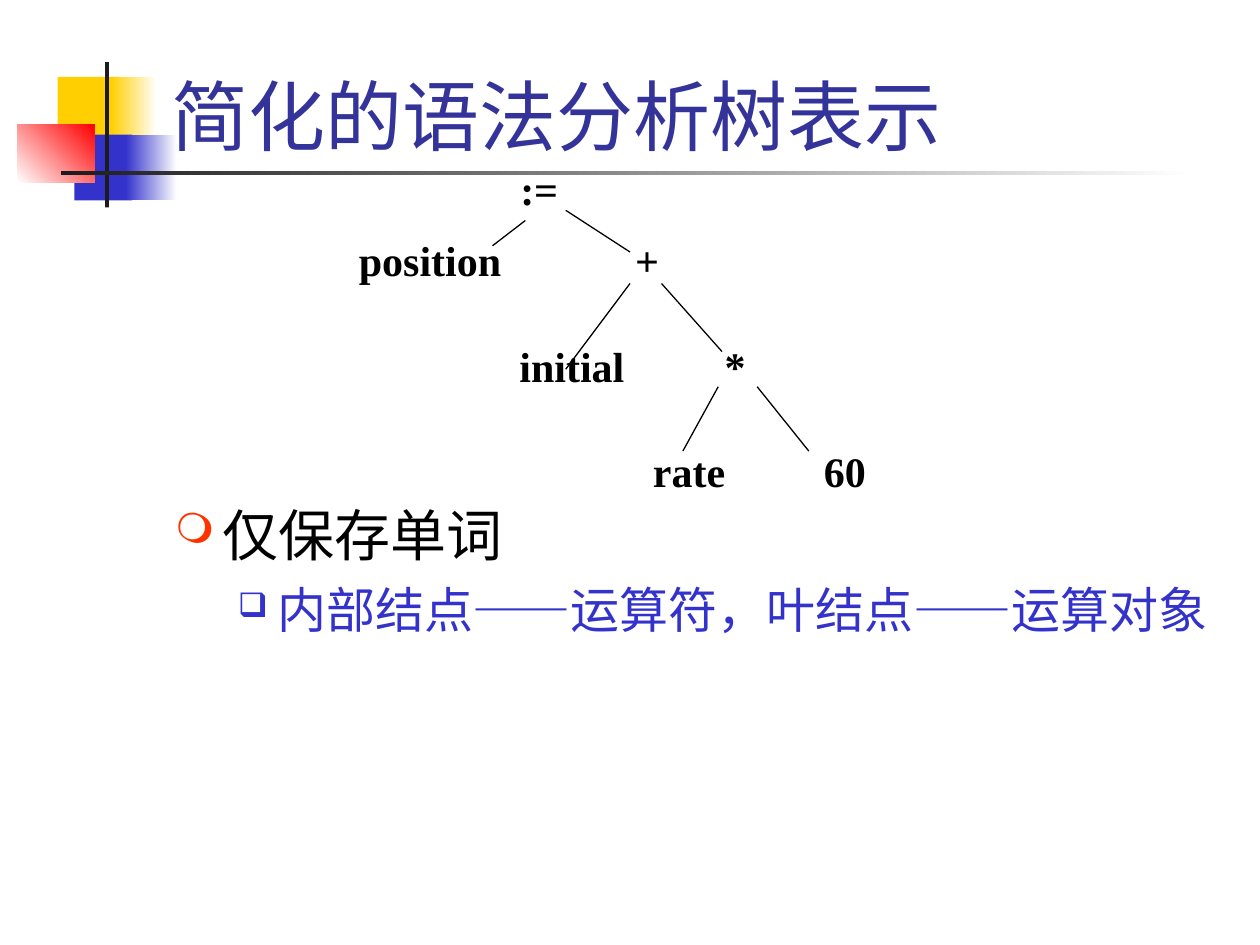
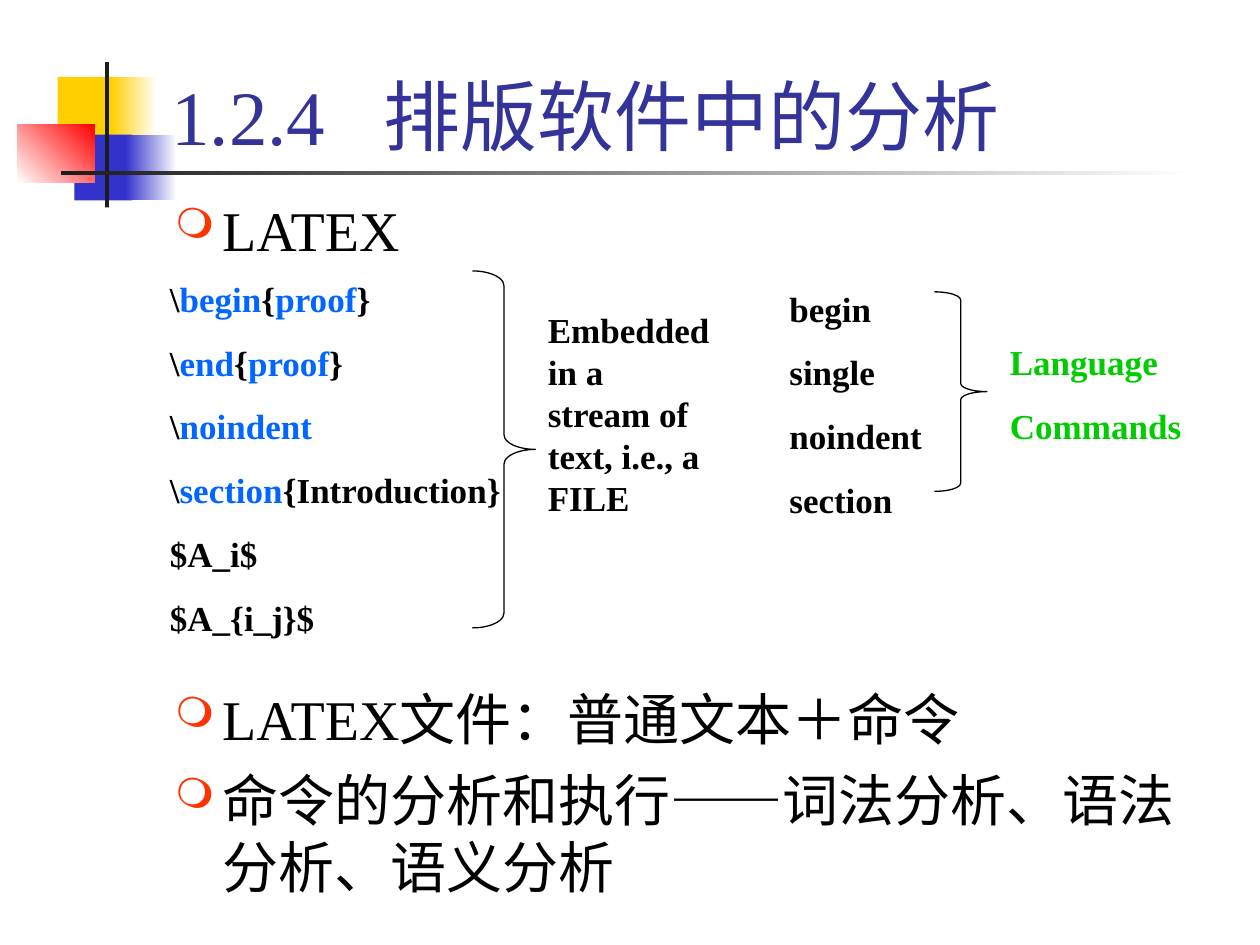
import pptx
import pptx.util
import pptx.dml.color
import pptx.enum.shapes
import pptx.enum.text
import pptx.oxml
import pptx.oxml.ns
from lxml import etree

Pt = pptx.util.Pt
Shapes = pptx.enum.shapes.MSO_SHAPE
FONT = "Times New Roman"
BLACK, WHITE, INK = "000000", "FFFFFF", "1C1C1C"
YELLOW, BLUE, RED = "FFCF01", "3333CC", "FF0000"
TITLE_COLOR, KEYWORD, GREEN = "333399", "0066FF", "00CC00"

# Box, colours from start to end, angle of the gradient
EMBLEM = [
    ((33, 44, 35, 37.5), (YELLOW,), 0),
    ((63.5, 44, 26, 37.5), (YELLOW, WHITE), 0),
    ((42.5, 77, 33, 37.5), (BLUE,), 0),
    ((72, 77, 29, 37.5), (BLUE, WHITE), 0),
    ((10, 71, 44, 33.5), (WHITE, RED), 45),
    ((60, 35.5, 2.3, 83), (INK,), 0),
    ((34.8, 97.8, 648, 2.3), (INK, WHITE), 0),
]
TITLE_BOX = (90.7, 5.8, 613.4, 90)
TITLE_TAB = 121

# Left indent, bullet, bullet colour, bullet size in percent, text size, text colour
LEVELS = [
    {"indent": 27, "hang": 27, "bullet": "❍", "bullet_color": "FF3300",
     "percent": 75, "size": 32, "color": BLACK, "before": 8},
    {"indent": 58.5, "hang": 22.5, "bullet": "❑", "bullet_color": BLUE,
     "percent": 69, "size": 28, "color": BLUE, "before": 7},
]

TREE_TITLE = "简化的语法分析树表示"
TREE_ROWS = (90, 130.3, 190.8, 251.3)
# Text, row, left, width, centred
TREE_NODES = [
    ("position", 1, 198, 141, False),
    ("initial", 2, 256.3, 141, True),
    ("rate", 3, 323.3, 141, True),
    (":=", 0, 290.2, 75.6, False),
    ("+", 1, 331.9, 75.6, True),
    ("*", 2, 382.3, 75.6, True),
    ("60", 3, 407.5, 150.5, True),
]
TREE_EDGES = [
    (300.2, 126, 281.5, 140.4),
    (323.3, 120.2, 360, 144),
    (360, 162, 323.3, 211),
    (378, 162, 412.6, 200.9),
    (410.4, 221, 390.2, 257.8),
    (432.7, 221, 462.2, 257.8),
]
TREE_BOX = (92.9, 282.2, 612, 162)
# Level, text, space before (None takes that of the level)
TREE_POINTS = [
    (0, "仅保存单词", None),
    (1, "内部结点——运算符，叶结点——运算对象", None),
]

LATEX_TITLE = "1.2.4\t排版软件中的分析"
LATEX_BOX = (92.9, 108, 612, 432)
LATEX_POINTS = [
    (0, "LATEX", None),
    (0, "LATEX文件：普通文本＋命令", 241),
    (0, "命令的分析和执行——词法分析、语法分析、语义分析", None),
]
# Box, then lines made of (text, colour) runs
LATEX_NOTES = [
    ((90, 154.8, 206, 214), [
        [("\\", BLACK), ("begin", KEYWORD), ("{", BLACK), ("proof", KEYWORD), ("}", BLACK)],
        [("\\", BLACK), ("end", KEYWORD), ("{", BLACK), ("proof", KEYWORD), ("}", BLACK)],
        [("\\", BLACK), ("noindent", KEYWORD)],
        [("\\", BLACK), ("section", KEYWORD), ("{Introduction}", BLACK)],
        [("$A_i$", BLACK)],
        [("$A_{i_j}$", BLACK)],
    ]),
    ((306, 172.8, 108, 127.5),
     [[("Embedded in a stream of text, i.e., a FILE", BLACK)]]),
    ((444, 160.5, 96, 141),
     [[(word, BLACK)] for word in ("begin", "single", "noindent", "section")]),
    ((570, 190.8, 150, 67.5),
     [[(word, GREEN)] for word in ("Language", "Commands")]),
]
# Box, curl of the ends
LATEX_BRACES = [((270, 154.8, 36, 204), 0.235), ((534, 166.8, 30, 114), 0.155)]


def rgb(color):
    return pptx.dml.color.RGBColor.from_string(color)


def points(values):
    return [Pt(value) for value in values]


def add_preset(slide, kind, box):
    shape = slide.shapes.add_shape(kind, *points(box))
    shape.shadow.inherit = False
    return shape


def add_emblem(slide):
    for box, colors, angle in EMBLEM:
        shape = add_preset(slide, Shapes.RECTANGLE, box)
        shape.line.fill.background()
        if len(colors) == 1:
            shape.fill.solid()
            shape.fill.fore_color.rgb = rgb(colors[0])
            continue
        shape.fill.gradient()
        shape.fill.gradient_angle = angle
        for stop, color in zip(shape.fill.gradient_stops, colors):
            stop.color.rgb = rgb(color)


def add_run(paragraph, text, size, color, bold=False):
    run = paragraph.add_run()
    run.text = text
    run.font.name = FONT
    run.font.size = Pt(size)
    run.font.bold = bold
    run.font.color.rgb = rgb(color)


def add_property(parent, tag, **attributes):
    return etree.SubElement(parent, pptx.oxml.ns.qn(tag), **attributes)


def set_title(slide, text):
    title = slide.shapes.title
    title.left, title.top, title.width, title.height = points(TITLE_BOX)
    frame = title.text_frame
    frame.auto_size = pptx.enum.text.MSO_AUTO_SIZE.NONE
    frame.vertical_anchor = pptx.enum.text.MSO_ANCHOR.BOTTOM
    paragraph = frame.paragraphs[0]
    paragraph.alignment = pptx.enum.text.PP_ALIGN.LEFT
    if "\t" in text:
        tabs = add_property(paragraph._p.get_or_add_pPr(), "a:tabLst")
        add_property(tabs, "a:tab", pos=str(Pt(TITLE_TAB)), algn="l")
    add_run(paragraph, text, 44, TITLE_COLOR)
    slide.shapes._spTree.append(title._element)  # in front of the emblem


def add_slide(presentation, title):
    slide = presentation.slides.add_slide(presentation.slide_layouts[5])
    add_emblem(slide)
    set_title(slide, title)
    return slide


def add_paragraphs(slide, box, count):
    frame = slide.shapes.add_textbox(*points(box)).text_frame
    frame.word_wrap = True
    for _ in range(count - 1):
        frame.add_paragraph()
    return frame.paragraphs


def add_bullets(slide, box, items):
    paragraphs = add_paragraphs(slide, box, len(items))
    for index, (paragraph, (depth, text, before)) in enumerate(zip(paragraphs, items)):
        level = LEVELS[depth]
        paragraph.level = depth
        if index:
            paragraph.space_before = Pt(before or level["before"])
        properties = paragraph._p.get_or_add_pPr()
        properties.set("marL", str(Pt(level["indent"])))
        properties.set("indent", str(-Pt(level["hang"])))
        color = add_property(properties, "a:buClr")
        add_property(color, "a:srgbClr", val=level["bullet_color"])
        add_property(properties, "a:buSzPct", val=str(level["percent"] * 1000))
        add_property(properties, "a:buChar", char=level["bullet"])
        add_run(paragraph, text, level["size"], level["color"])


def add_note(slide, box, lines, size=20, centred=False):
    for index, (paragraph, runs) in enumerate(zip(add_paragraphs(slide, box, len(lines)), lines)):
        if index:
            paragraph.space_before = Pt(12.5)
        if centred:
            paragraph.alignment = pptx.enum.text.PP_ALIGN.CENTER
        for text, color in runs:
            add_run(paragraph, text, size, color, bold=True)


def draw_outline(shape):
    shape.line.color.rgb = rgb(BLACK)
    shape.line.width = Pt(0.75)


def add_edge(slide, ends):
    edge = slide.shapes.add_connector(
        pptx.enum.shapes.MSO_CONNECTOR.STRAIGHT, *points(ends))
    draw_outline(edge)
    add_property(edge._element.spPr, "a:effectLst")


def add_brace(slide, box, curl):
    brace = add_preset(slide, Shapes.RIGHT_BRACE, box)
    brace.fill.background()
    brace.adjustments[0] = curl
    draw_outline(brace)


def build_tree_slide(presentation):
    slide = add_slide(presentation, TREE_TITLE)
    add_bullets(slide, TREE_BOX, TREE_POINTS)
    for text, row, left, width, centred in TREE_NODES:
        box = (left, TREE_ROWS[row], width, 36)
        add_note(slide, box, [[(text, BLACK)]], 24, centred)
    for ends in TREE_EDGES:
        add_edge(slide, ends)


def build_latex_slide(presentation):
    slide = add_slide(presentation, LATEX_TITLE)
    add_bullets(slide, LATEX_BOX, LATEX_POINTS)
    for box, lines in LATEX_NOTES:
        add_note(slide, box, lines)
    for box, curl in LATEX_BRACES:
        add_brace(slide, box, curl)


def main():
    presentation = pptx.Presentation()
    presentation.slide_width, presentation.slide_height = Pt(720), Pt(540)
    build_tree_slide(presentation)
    build_latex_slide(presentation)
    presentation.save("out.pptx")


if __name__ == "__main__":
    main()
